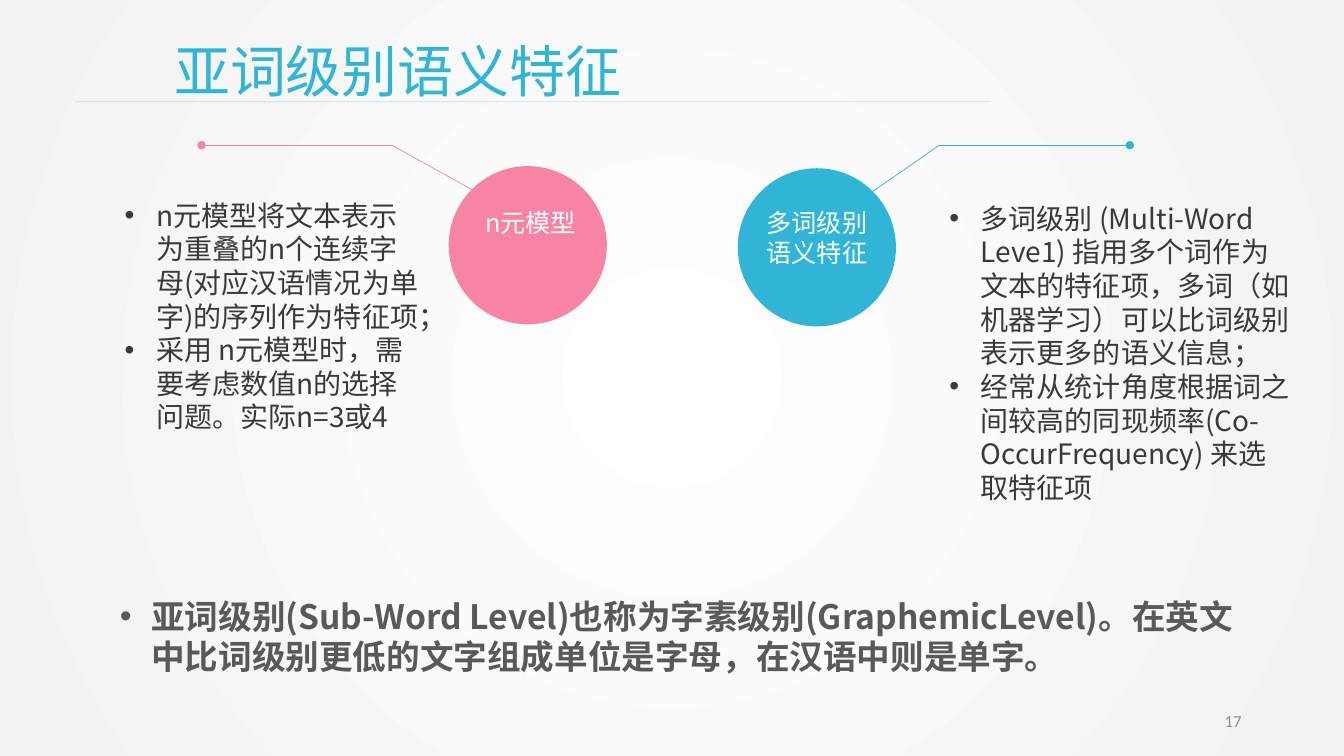
from lxml.etree import SubElement
from pptx import Presentation
from pptx.dml.color import RGBColor
from pptx.enum.shapes import MSO_CONNECTOR, MSO_SHAPE
from pptx.enum.text import MSO_ANCHOR, PP_ALIGN
from pptx.oxml.ns import qn
from pptx.util import Pt

WHITE = RGBColor(0xFF, 0xFF, 0xFF)
EDGE_GREY = RGBColor(0xF2, 0xF2, 0xF2)
BLUE = RGBColor(0x31, 0xB5, 0xD6)
PINK = RGBColor(0xF7, 0x84, 0xA5)
RULE_BLUE = RGBColor(0x4A, 0x7E, 0xBB)
BODY_GREY = RGBColor(0x3B, 0x38, 0x38)
SUMMARY_GREY = RGBColor(0x59, 0x59, 0x59)
NUMBER_GREY = RGBColor(0x8C, 0x8C, 0x8C)

CJK_FONT = "Noto Sans CJK SC"
BULLET_INDENT = Pt(22.5)
CIRCLE_SIZE = 113

TOPICS = [
    dict(dot=(144, 103.7), direction=1, touch=(193, 31.7), centre=(233, 71.5),
         color=PINK, label=[" n元模型"], label_width=85.7,
         body_box=(82, 136.8, 226, 177),
         body=["n元模型将文本表示为重叠的n个连续字母(对应汉语情况为单字)的序列作为特征项；",
               "采用 n元模型时，需要考虑数值n的选择问题。实际n=3或4"]),
    dict(dot=(807, 103.7), direction=-1, touch=(183.5, 33), centre=(223.5, 73),
         color=BLUE, label=["多词级别", "语义特征"], label_width=87.1,
         body_box=(671, 139, 258.5, 250),
         body=["多词级别 (Multi-Word Leve1) 指用多个词作为文本的特征项，"
               "多词（如机器学习）可以比词级别表示更多的语义信息；",
               "经常从统计角度根据词之间较高的同现频率(Co-OccurFrequency) 来选取特征项"]),
]


def set_all(target, values):
    for name, value in values.items():
        setattr(target, name, value)


def add_bullet(paragraph):
    properties = paragraph._p.get_or_add_pPr()
    properties.set("marL", str(BULLET_INDENT))
    properties.set("indent", str(-BULLET_INDENT))
    SubElement(properties, qn("a:buFont")).set("typeface", "Arial")
    SubElement(properties, qn("a:buChar")).set("char", "•")


def add_text(slide, box, lines, size, color, bullet=False, bold=False,
             align=PP_ALIGN.LEFT, anchor=MSO_ANCHOR.TOP, font_name=CJK_FONT):
    frame = slide.shapes.add_textbox(*map(Pt, box)).text_frame
    # The top margin balances the fixed line height
    set_all(frame, dict(word_wrap=True, vertical_anchor=anchor,
                        margin_top=Pt(3.6 + 0.06 * size)))
    for index, line in enumerate(lines):
        paragraph = frame.add_paragraph() if index else frame.paragraphs[0]
        if bullet:
            add_bullet(paragraph)
        set_all(paragraph, dict(alignment=align, line_spacing=Pt(1.2 * size)))
        run = paragraph.add_run()
        run.text = line
        set_all(run.font, dict(name=font_name, size=Pt(size), bold=bold))
        run.font.color.rgb = color
        SubElement(run._r.get_or_add_rPr(), qn("a:ea")).set("typeface", font_name)


def add_line(slide, start, end, color, dot=False, opacity=None):
    line = slide.shapes.add_connector(MSO_CONNECTOR.STRAIGHT, *map(Pt, start + end))
    line.line.width = Pt(0.5)
    line.line.color.rgb = color
    properties = line._element.spPr
    outline = properties.find(qn("a:ln"))
    if opacity:
        fill_color = outline.find(f"{qn('a:solidFill')}/{qn('a:srgbClr')}")
        SubElement(fill_color, qn("a:alpha")).set("val", str(opacity * 1000))
    if dot:
        SubElement(outline, qn("a:tailEnd")).set("type", "oval")
    SubElement(properties, qn("a:effectLst"))


def paint_background(slide):
    fill = slide.background.fill
    fill.gradient()
    for stop, color, position in zip(fill.gradient_stops, (WHITE, EDGE_GREY), (0, 1)):
        stop.color.rgb = color
        stop.position = position
    gradient = slide._element.find(f".//{qn('a:gradFill')}")
    linear = gradient.find(qn("a:lin"))
    if linear is not None:
        gradient.remove(linear)
    radial = SubElement(gradient, qn("a:path"))
    radial.set("path", "circle")
    centre = SubElement(radial, qn("a:fillToRect"))
    for side in "ltrb":
        centre.set(side, "50000")


def draw_header(slide, box):
    left, top, width, height = box
    add_line(slide, (left, top + height), (left + width, top + height),
             RULE_BLUE, opacity=25)
    add_text(slide, (left + 64, top, 612, 55.4), ["亚词级别语义特征"], 40, BLUE)


def draw_topic(slide, dot, direction, touch, centre, color, label, label_width,
               body_box, body):
    def place(offset):
        return dot[0] + direction * offset[0], dot[1] + offset[1]

    # Circle with its label
    x, y = place(centre)
    circle = slide.shapes.add_shape(
        MSO_SHAPE.FLOWCHART_CONNECTOR, Pt(x - CIRCLE_SIZE / 2),
        Pt(y - CIRCLE_SIZE / 2), Pt(CIRCLE_SIZE), Pt(CIRCLE_SIZE))
    circle.shadow.inherit = False
    circle.fill.solid()
    circle.fill.fore_color.rgb = color
    circle.line.fill.background()
    add_text(slide, (x - label_width / 2, 143.3, label_width, 51), label, 18, WHITE,
             align=PP_ALIGN.CENTER)

    # Leader line and explanation
    elbow = place((136, 0))
    add_line(slide, elbow, dot, color, dot=True)
    add_line(slide, elbow, place(touch), color)
    add_text(slide, body_box, body, 20, BODY_GREY, bullet=True)


def draw_footer(slide, box):
    left, top, width, height = box
    add_text(slide, (left, top, width, 65.5),
             ["亚词级别(Sub-Word Level)也称为字素级别(GraphemicLevel)。"
              "在英文中比词级别更低的文字组成单位是字母，在汉语中则是单字。"],
             24, SUMMARY_GREY, bullet=True, bold=True)
    add_text(slide, (left + width - 212.5, top + height - 29, 216, 29), ["17"], 12,
             NUMBER_GREY, align=PP_ALIGN.RIGHT, anchor=MSO_ANCHOR.MIDDLE,
             font_name="Calibri")


def main():
    presentation = Presentation()
    set_all(presentation, dict(slide_width=Pt(960), slide_height=Pt(540)))
    slide = presentation.slides.add_slide(presentation.slide_layouts[6])
    paint_background(slide)
    draw_header(slide, (53.3, 20.2, 654.5, 52.5))
    for topic in TOPICS:
        draw_topic(slide, **topic)
    draw_footer(slide, (78.5, 420.5, 812, 108.7))
    presentation.save("out.pptx")


if __name__ == "__main__":
    main()
